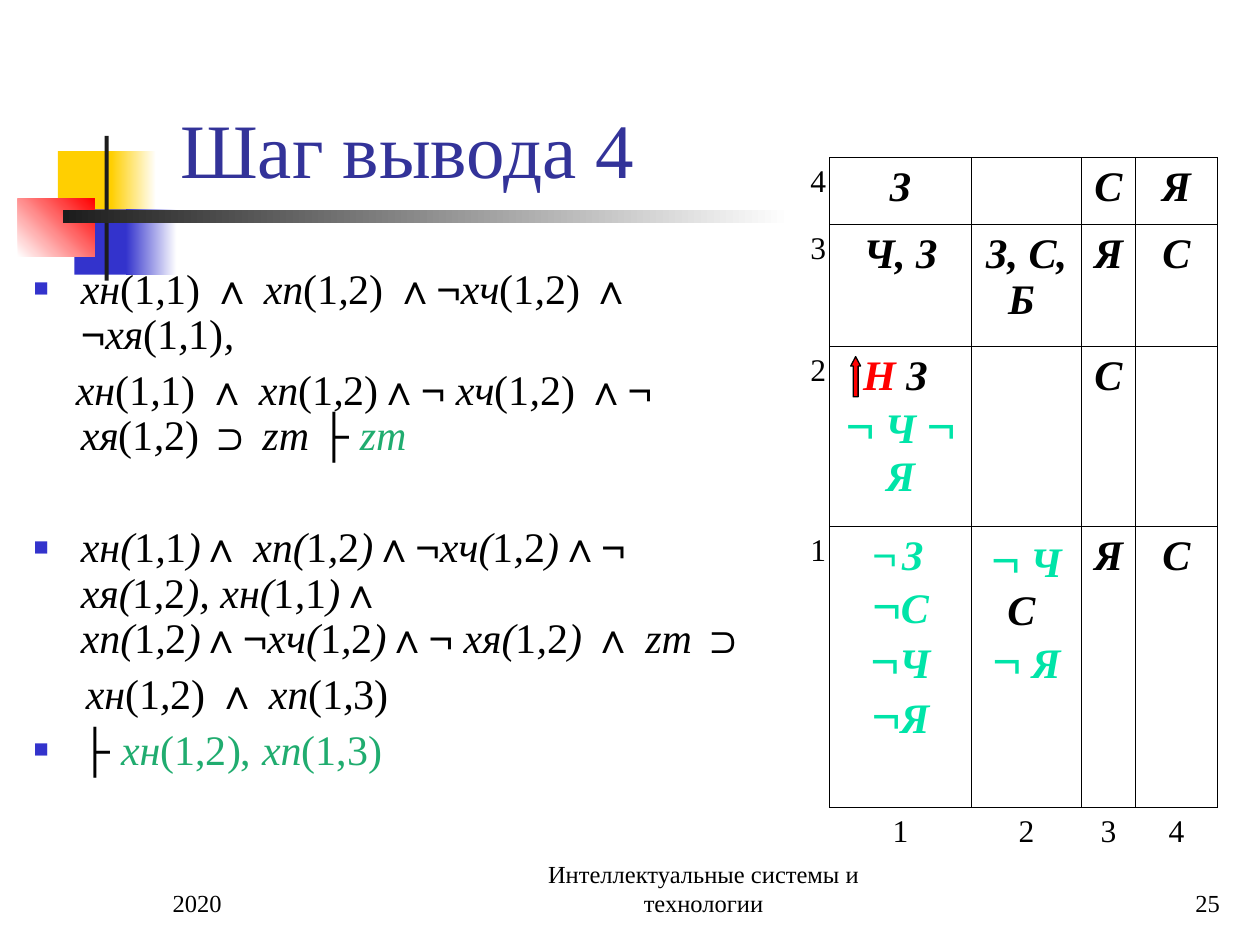
from itertools import groupby

from lxml.etree import SubElement
from pptx import Presentation
from pptx.dml.color import RGBColor
from pptx.enum.shapes import MSO_SHAPE
from pptx.enum.text import MSO_ANCHOR, PP_ALIGN
from pptx.oxml.ns import qn
from pptx.util import Cm, Pt

BLACK, RED, GREEN, MINT = "000000", "FF0000", "20AC6F", "00E4A8"
YELLOW, BLUE, NAVY, DARK, WHITE = "FFCF01", "3333CC", "333399", "1C1C1C", "FFFFFF"
SYMBOLS = "∧¬⊃"


def color(value):
    return RGBColor.from_string(value)


def add_color(parent, value):
    SubElement(parent, qn("a:srgbClr"), val=value)


class SlideBuilder:
    font = "Times New Roman"
    symbol_font = "Arial"

    def __init__(self, page):
        self.page = page

    def style(self, para, size, tint=BLACK, bold=None, align=None):
        para.font.name = self.font
        para.font.size = Pt(size)
        para.font.color.rgb = color(tint)
        para.font.bold = bold
        para.alignment = align

    def title(self, text, *place):
        box = self.page.shapes.title
        box.left, box.top, box.width, box.height = map(Cm, place)
        frame = box.text_frame
        frame.text = text
        frame.vertical_anchor = MSO_ANCHOR.BOTTOM
        self.style(frame.paragraphs[0], 44, NAVY, align=PP_ALIGN.LEFT)

    def text_frame(self, *place, anchor=MSO_ANCHOR.TOP):
        frame = self.page.shapes.add_textbox(*map(Cm, place)).text_frame
        frame.word_wrap = True
        frame.vertical_anchor = anchor
        return frame

    def footer(self, text, align, *place):
        frame = self.text_frame(*place, anchor=MSO_ANCHOR.BOTTOM)
        frame.text = text
        self.style(frame.paragraphs[0], 14, align=align)

    def shape(self, kind, fill, *place, fade=None, angle=0):
        box = self.page.shapes.add_shape(kind, *map(Cm, place))
        box.shadow.inherit = False
        box.line.fill.background()
        if fade:
            box.fill.gradient()
            box.fill.gradient_angle = angle
            for stop, tint in zip(box.fill.gradient_stops, (fill, fade)):
                stop.color.rgb = color(tint)
        else:
            box.fill.solid()
            box.fill.fore_color.rgb = color(fill)
        return box

    def bullet(self, para, char, tint, percent=100):
        props = para._p.get_or_add_pPr()
        add_color(SubElement(props, qn("a:buClr")), tint)
        SubElement(props, qn("a:buSzPct"), val=str(percent * 1000))
        SubElement(props, qn("a:buFont"), typeface=self.symbol_font)
        SubElement(props, qn("a:buChar"), char=char)

    def spans(self, para, pieces, slanted, symbol_size=None):
        """Split pieces into symbols, slanted and upright spans."""
        def kind(char):
            return "symbol" if char in SYMBOLS else "slanted" if slanted(char) else "upright"

        for text, tint in pieces:
            for name, chars in groupby(text, kind):
                span = para.add_run()
                span.text = "".join(chars)
                span.font.italic = name == "slanted"
                if tint != BLACK:
                    span.font.color.rgb = color(tint)
                if name == "symbol":
                    span.font.name = self.symbol_font
                    if symbol_size:
                        span.font.size = Pt(symbol_size)
                        span.font.bold = False

    def formulas(self, lines, *place):
        frame = self.text_frame(*place)
        for number, (first_indent, gap, marks, pieces) in enumerate(lines):
            para = frame.add_paragraph() if number else frame.paragraphs[0]
            props = para._p.get_or_add_pPr()
            props.set("marL", str(Cm(0.95)))
            props.set("indent", str(Cm(first_indent)))
            if first_indent == HANGING:
                self.bullet(para, "■", BLUE, 60)
            para.line_spacing = 0.9
            para.space_before = Pt(gap)
            self.style(para, 24)
            self.spans(para, pieces, lambda char: char.isalpha() or char in marks)

    def borders(self, cell, sides):
        props = cell._tc.get_or_add_tcPr()
        for side in "LRTB":
            line = SubElement(props, qn(f"a:ln{side}"), w=str(Pt(0.45)))
            if side in sides:
                add_color(SubElement(line, qn("a:solidFill")), BLACK)
            else:
                SubElement(line, qn("a:noFill"))

    def grid(self, rows, widths, heights, left, top):
        table = self.page.shapes.add_table(
            len(heights), len(widths), Cm(left), Cm(top), Cm(sum(widths)), Cm(sum(heights))).table
        table.first_row = table.horz_banding = False
        for column, width in zip(table.columns, widths):
            column.width = Cm(width)
        for row, height in zip(table.rows, heights):
            row.height = Cm(height)
        last = len(rows) - 1
        for r, row in enumerate(rows):
            for c, content in enumerate(row):
                cell = table.cell(r, c)
                is_label = c == 0 or r == last
                if is_label:
                    sides = "R" if r < last else "T" if c else ""
                else:
                    sides = "LRTB"
                self.borders(cell, sides)
                cell.fill.background()
                self.cell_text(cell.text_frame, content, is_label)

    def cell_text(self, frame, content, is_label):
        if isinstance(content, str):
            content = [[(content, BLACK)]] if content else []
        for number, pieces in enumerate(content):
            para = frame.add_paragraph() if number else frame.paragraphs[0]
            if pieces[0] == BULLET:
                self.bullet(para, *BULLET)
                pieces = pieces[1:]
            self.style(para, 18 if is_label else 24, bold=not is_label, align=PP_ALIGN.CENTER)
            self.spans(para, pieces, lambda char: not is_label, 28)


HANGING = -0.95
BULLET = ("¬", MINT)

# First-line indent, space before, slanted marks, coloured pieces
FORMULAS = [
    (HANGING, 6, ",", [("xн(1,1) ∧ xn(1,2) ∧¬xч(1,2) ∧ ¬xя(1,1),", BLACK)]),
    (-0.1, 6, ",", [("xн(1,1) ∧ xn(1,2)∧¬ xч(1,2) ∧¬ xя(1,2) ⊃ zm ├ ", BLACK), ("zm", GREEN)]),
    (HANGING, 38, "(),", [("xн(1,1)∧ xn(1,2)∧¬xч(1,2)∧¬ xя(1,2), xн(1,1)∧ xn(1,2)∧¬xч(1,2)"
                           "∧¬ xя(1,2) ∧ zm ⊃", BLACK)]),
    (0.1, 6, ",", [("xн(1,2) ∧ xn(1,3)", BLACK)]),
    (HANGING, 6, "", [("├ ", BLACK), ("xн(1,2), xn(1,3)", GREEN)]),
]

MAP_ROWS = [
    ["4", "З", "", "С", "Я"],
    ["3", "Ч, З", "З, С, Б ", "Я", "С"],
    ["2", [[("Н", RED), (" З ", BLACK)], [("¬ Ч ¬ Я", MINT)]], "", "С", ""],
    ["1", [[BULLET, ("З", MINT)], [("¬С", MINT)], [("¬Ч ¬Я", MINT)]],
     [[("¬ Ч", MINT), (" С ", BLACK)], [("¬ Я", MINT)]], "Я", "С"],
    ["", "1", "2", "3", "4"],
]


def main():
    deck = Presentation()
    deck.slide_width, deck.slide_height = Cm(25.4), Cm(19.05)
    slide = SlideBuilder(deck.slides.add_slide(deck.slide_layouts[5]))

    # Corner ornament
    block = MSO_SHAPE.RECTANGLE
    slide.shape(block, YELLOW, 1.17, 3.05, 1.22, 1.32)
    slide.shape(block, YELLOW, 2.24, 3.05, 0.91, 1.32, fade=WHITE)
    slide.shape(block, BLUE, 1.5, 4.22, 1.17, 1.32)
    slide.shape(block, BLUE, 2.54, 4.22, 1.02, 1.32, fade=WHITE)
    slide.shape(block, WHITE, 0.36, 4.01, 1.55, 1.17, fade=RED, angle=45)
    slide.shape(block, DARK, 2.11, 2.74, 0.08, 2.92)
    slide.shape(block, DARK, 1.27, 4.24, 14.66, 0.25, fade=WHITE)

    # Title and inference steps
    slide.title("Шаг вывода 4", 3.38, 0.43, 21.64, 3.61)
    slide.formulas(FORMULAS, 0.43, 5.28, 15.24, 11.73)

    # Map of the cave with the agent's arrow
    slide.grid(MAP_ROWS, [0.64, 2.87, 2.21, 1.09, 1.65], [1.35, 2.46, 3.63, 5.66, 1.52], 16.08, 3.18)
    arrow = slide.shape(MSO_SHAPE.UP_ARROW, RED, 17.15, 7.19, 0.2, 0.81)
    arrow.adjustments[1] = 0.95
    arrow.line.color.rgb = color(BLACK)
    arrow.line.width = Pt(0.75)

    # Footer
    slide.footer("2020", PP_ALIGN.LEFT, 3.23, 17.35, 5.28, 1.27)
    slide.footer("Интеллектуальные системы и технологии", PP_ALIGN.CENTER, 10.16, 17.35, 8.05, 1.27)
    slide.footer("25", PP_ALIGN.RIGHT, 19.56, 17.35, 5.28, 1.27)

    deck.save("out.pptx")


if __name__ == "__main__":
    main()
